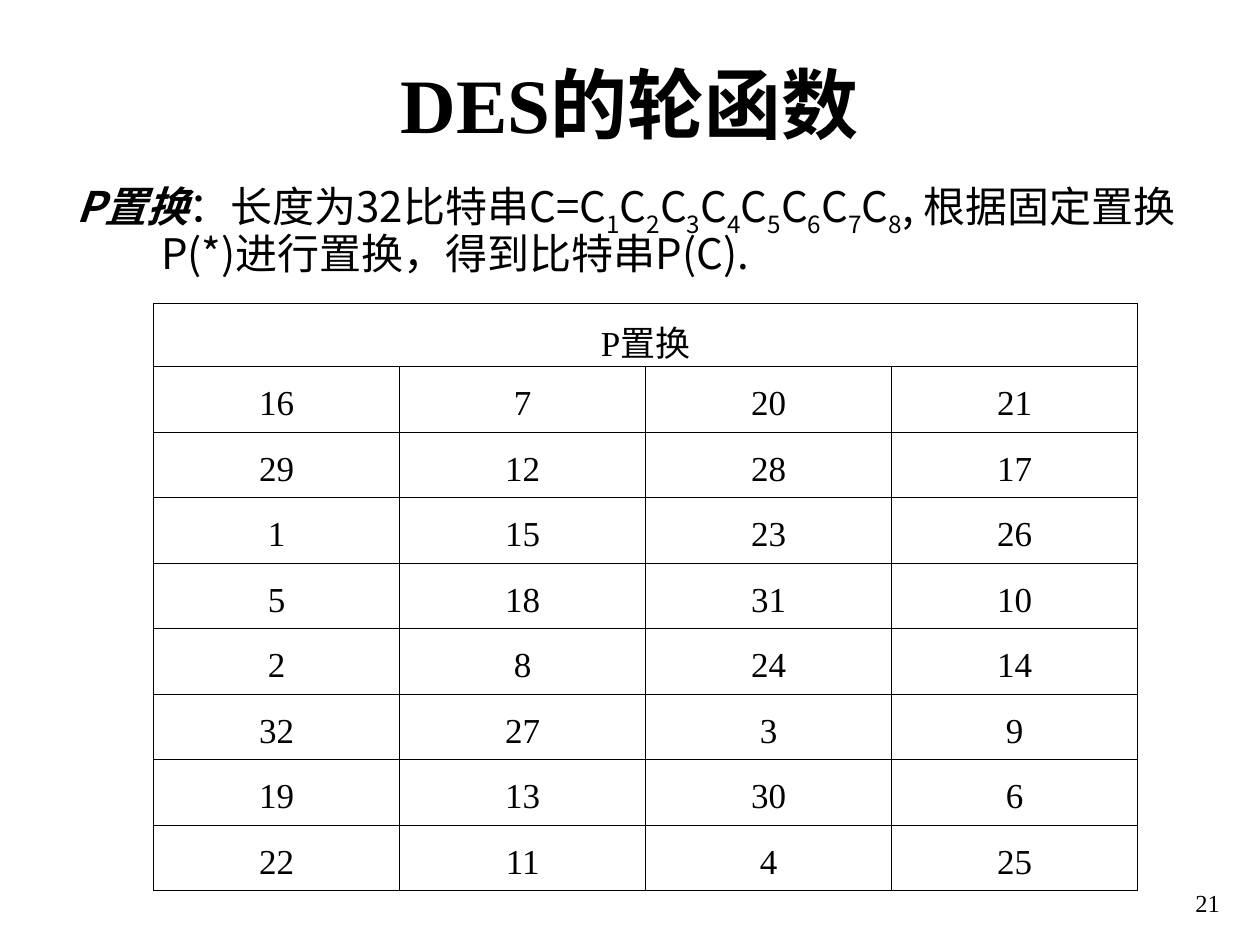
import pptx
import pptx.dml.color
import pptx.enum.text
import pptx.oxml
import pptx.oxml.ns
import pptx.util
import lxml.etree

COLORS = {"text": "000000", "border": "000000", "background": "FFFFFF"}
SERIF = "Times New Roman"
SANS = "Noto Sans CJK SC"
ALIGN = pptx.enum.text.PP_ALIGN
ANCHOR = pptx.enum.text.MSO_ANCHOR
SLIDE_WIDTH = pptx.util.Inches(10)
SLIDE_HEIGHT = pptx.util.Inches(7.5)
GRID = 100

PERMUTATION = [
    [16, 7, 20, 21],
    [29, 12, 28, 17],
    [1, 15, 23, 26],
    [5, 18, 31, 10],
    [2, 8, 24, 14],
    [32, 27, 3, 9],
    [19, 13, 30, 6],
    [22, 11, 4, 25],
]


def columns(count):
    return round(SLIDE_WIDTH * count / GRID)


def rows(count):
    return round(SLIDE_HEIGHT * count / GRID)


def grid_box(left, top, width, height):
    return columns(left), rows(top), columns(width), rows(height)


def format_run(run, size, font_name, bold=False, italic=False):
    font = run.font
    font.size = pptx.util.Pt(size)
    font.name = font_name
    font.bold = bold
    font.italic = italic
    font.color.rgb = pptx.dml.color.RGBColor.from_string(COLORS["text"])
    properties = run._r.get_or_add_rPr()
    east_asian = lxml.etree.SubElement(properties, pptx.oxml.ns.qn("a:ea"))
    east_asian.set("typeface", SANS)


def add_title(slide, box):
    title = slide.shapes.title
    title.left, title.top, title.width, title.height = box
    frame = title.text_frame
    frame.text = "DES的轮函数"
    frame.vertical_anchor = ANCHOR.BOTTOM
    paragraph = frame.paragraphs[0]
    paragraph.alignment = ALIGN.CENTER
    format_run(paragraph.runs[0], 44, SERIF, bold=True)


def add_description(slide, box):
    frame = slide.shapes.add_textbox(*box).text_frame
    frame.word_wrap = True
    paragraph = frame.paragraphs[0]
    paragraph.line_spacing = 0.9
    paragraph.space_before = pptx.util.Pt(4.8)
    indent = columns(6.7)
    paragraph_properties = paragraph._p.get_or_add_pPr()
    paragraph_properties.set("marL", str(indent))
    paragraph_properties.set("indent", str(-indent))

    def add_run(text, emphasis=False, subscript=False):
        run = paragraph.add_run()
        run.text = text
        format_run(run, 24, SANS, bold=emphasis, italic=emphasis)
        if subscript:
            run._r.get_or_add_rPr().set("baseline", "-25000")

    add_run("P置换", emphasis=True)
    add_run("：长度为32比特串C=")
    for number in range(1, 9):
        add_run("C")
        add_run(str(number), subscript=True)
    add_run(", 根据固定置换P(*)进行置换，得到比特串P(C).")


def format_cell(cell):
    cell.margin_left = cell.margin_right = cell.margin_top = columns(0.1)
    cell.margin_bottom = 0
    cell.vertical_anchor = ANCHOR.MIDDLE
    properties = cell._tc.get_or_add_tcPr()
    for side in ("lnL", "lnR", "lnT", "lnB"):
        properties.append(pptx.oxml.parse_xml(
            f'<a:{side} {pptx.oxml.ns.nsdecls("a")} w="{pptx.util.Pt(0.5)}">'
            f'<a:solidFill><a:srgbClr val="{COLORS["border"]}"/></a:solidFill>'
            f'</a:{side}>'))
    cell.fill.background()
    paragraph = cell.text_frame.paragraphs[0]
    paragraph.alignment = ALIGN.CENTER
    paragraph.line_spacing = 1.2
    for run in paragraph.runs:
        format_run(run, 20, SERIF)


def add_permutation_table(slide, box):
    row_count = len(PERMUTATION) + 1
    column_count = len(PERMUTATION[0])
    left, top, width, height = box
    table = slide.shapes.add_table(row_count, column_count, *box).table
    table.first_row = False
    table.horz_banding = False
    header_height = rows(6.67)
    for column in table.columns:
        column.width = width // column_count
    for row in table.rows:
        row.height = (height - header_height) // len(PERMUTATION)
    table.rows[0].height = header_height
    table.cell(0, 0).merge(table.cell(0, column_count - 1))
    table.cell(0, 0).text_frame.text = "P置换"
    for row_index, values in enumerate(PERMUTATION, start=1):
        for column_index, value in enumerate(values):
            table.cell(row_index, column_index).text_frame.text = str(value)
    for cell in table.iter_cells():
        format_cell(cell)


def add_page_number(slide, box):
    frame = slide.shapes.add_textbox(*box).text_frame
    frame.word_wrap = True
    frame.vertical_anchor = ANCHOR.BOTTOM
    frame.text = "21"
    paragraph = frame.paragraphs[0]
    paragraph.alignment = ALIGN.RIGHT
    format_run(paragraph.runs[0], 14, SERIF)


def main():
    presentation = pptx.Presentation()
    presentation.slide_width = SLIDE_WIDTH
    presentation.slide_height = SLIDE_HEIGHT
    slide = presentation.slides.add_slide(presentation.slide_layouts[5])
    background = slide.background.fill
    background.solid()
    background.fore_color.rgb = pptx.dml.color.RGBColor.from_string(COLORS["background"])
    add_title(slide, grid_box(7.5, 1.87, 85, 14.53))
    add_page_number(slide, grid_box(77, 91.07, 20.8, 6.67))
    add_permutation_table(slide, grid_box(12.2, 32.13, 78.1, 62.13))
    add_description(slide, grid_box(5.1, 18.53, 89.8, 12.67))
    presentation.save("out.pptx")


if __name__ == "__main__":
    main()
